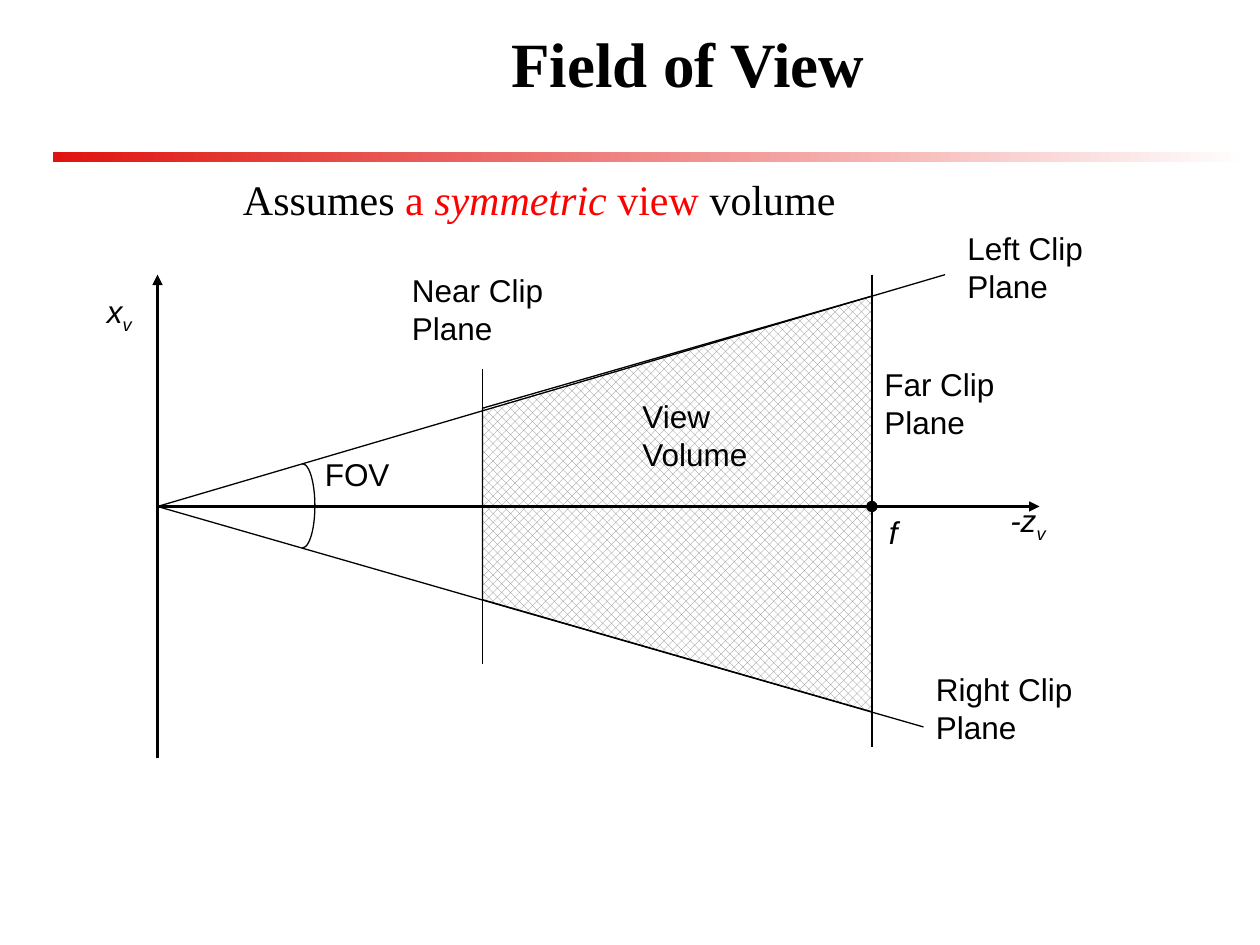
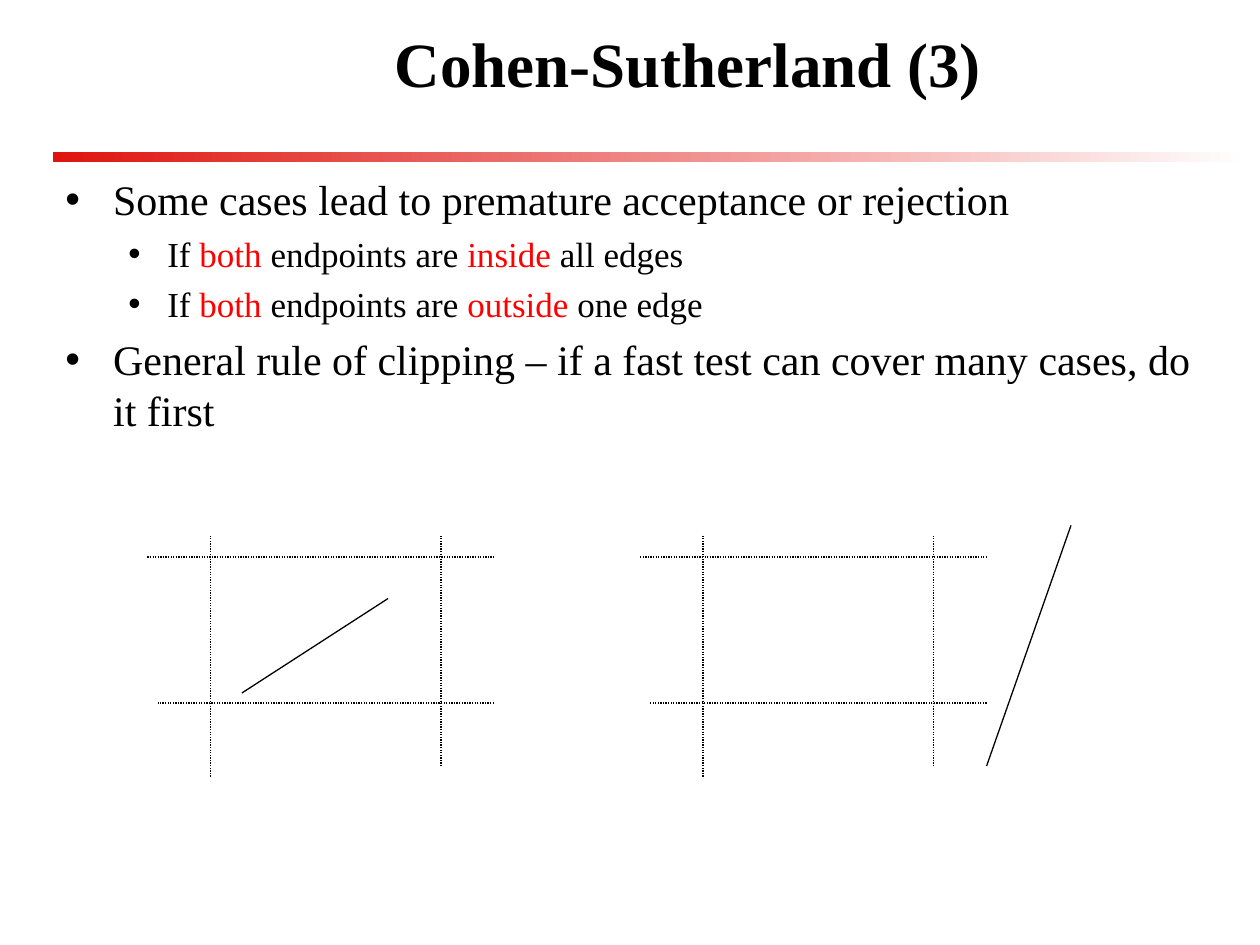
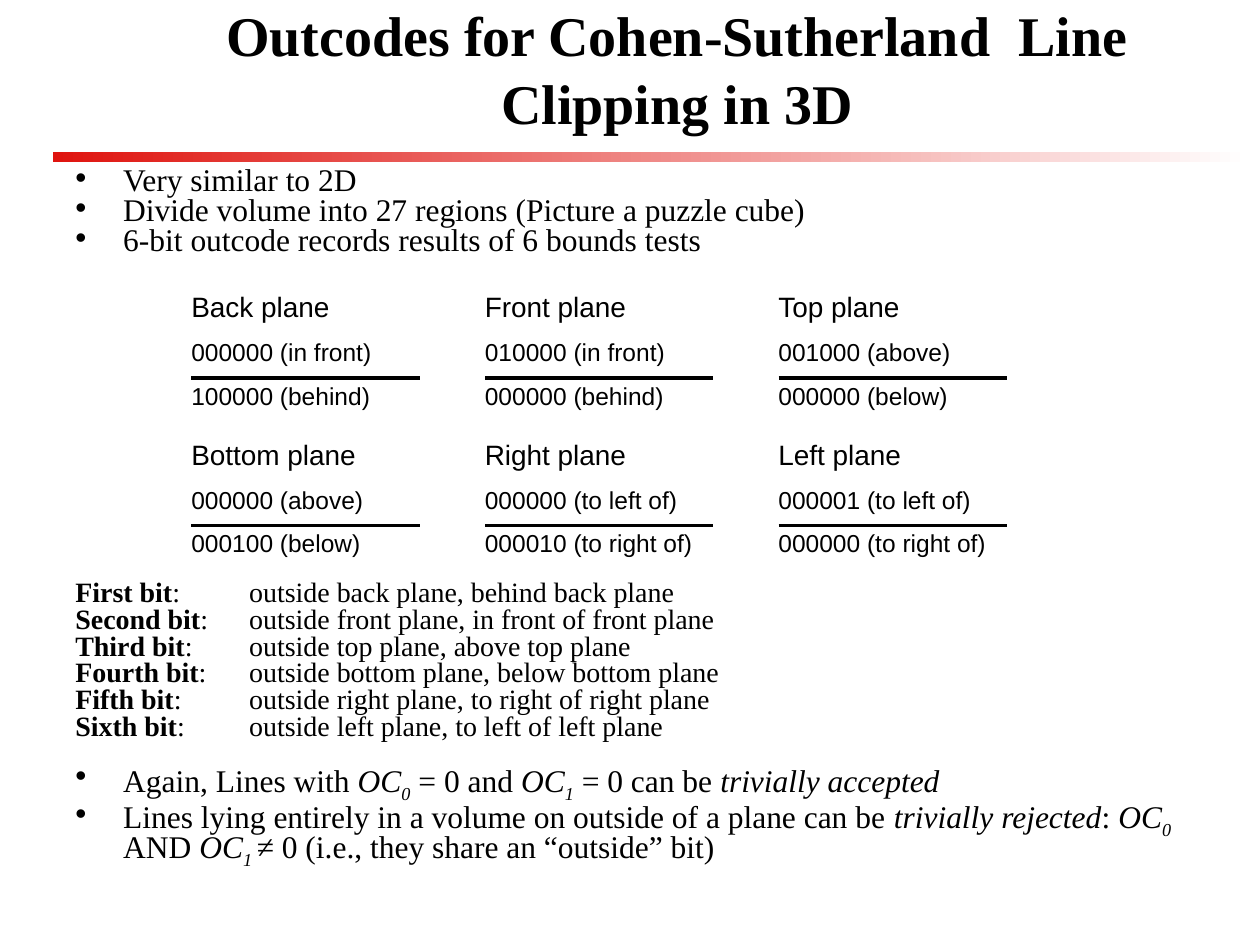
"""Build three lecture slides on view volumes and Cohen-Sutherland clipping."""
from lxml.etree import SubElement
from pptx import Presentation
from pptx.dml.color import RGBColor
from pptx.enum.dml import MSO_LINE, MSO_PATTERN
from pptx.enum.shapes import MSO_CONNECTOR, MSO_SHAPE
from pptx.enum.text import MSO_ANCHOR, PP_ALIGN
from pptx.oxml.ns import qn
from pptx.util import Inches, Pt

BLACK = RGBColor(0, 0, 0)
WHITE = RGBColor(0xFF, 0xFF, 0xFF)
RED = RGBColor(0xFF, 0, 0)
BAND_RED = RGBColor(0xDF, 0x14, 0x0F)
GRAY = RGBColor(0x80, 0x80, 0x80)
SERIF, SANS = "Times New Roman", "Arial"

PLAIN, BOLD, ITALIC = {}, {"bold": True}, {"italic": True}
SUB = {"italic": True, "baseline": "-25000"}
ACCENT, ACCENT_ITALIC = {"color": RED}, {"color": RED, "italic": True}


def write(para, spans, size, face, bullet=None, indent=None, tab=None, **layout):
    """Fill a paragraph with (text, format) spans."""
    properties = para._p.get_or_add_pPr()
    if indent:
        properties.set("marL", str(Inches(indent[0])))
        properties.set("indent", str(Inches(indent[1])))
    if bullet:
        SubElement(properties, qn("a:buFont"), typeface=SANS)
        SubElement(properties, qn("a:buChar"), char=bullet)
    if tab:
        tabs = SubElement(properties, qn("a:tabLst"))
        SubElement(tabs, qn("a:tab"), pos=str(Inches(tab)), algn="l")
    for name, value in layout.items():
        setattr(para, name, value)
    for text, style in spans:
        span = para.add_run()
        span.text = text
        formats = {"size": Pt(size), "name": face, **style}
        span.font.color.rgb = formats.pop("color", BLACK)
        baseline = formats.pop("baseline", None)
        for name, value in formats.items():
            setattr(span.font, name, value)
        if baseline:
            span._r.get_or_add_rPr().set("baseline", baseline)


def draw_line(page, x1, y1, x2, y2, width=0.75, dash=None, arrow=False):
    """Draw a black line, dotted or with an arrowhead if asked."""
    line = page.shapes.add_connector(
        MSO_CONNECTOR.STRAIGHT, Inches(x1), Inches(y1), Inches(x2), Inches(y2))
    line.line.color.rgb = BLACK
    line.line.width = Pt(width)
    if dash:
        line.line.dash_style = dash
    if arrow:
        SubElement(line.line._get_or_add_ln(), qn("a:tailEnd"), type="triangle")
    SubElement(line._element.spPr, qn("a:effectLst"))


deck = Presentation()
deck.slide_width, deck.slide_height = Inches(10), Inches(7.5)
title_only = deck.slide_layouts[5]

pages = []
for heading, size, place in (
    ("Field of View", 36, (1.17, 0.08, 8.58, 0.83)),
    ("Cohen-Sutherland (3)", 36, (1.17, 0.08, 8.58, 0.83)),
    ("Outcodes for Cohen-Sutherland  Line Clipping in 3D", 32, (1.25, 0.08, 8.25, 0.92)),
):
    page = deck.slides.add_slide(title_only)
    title = page.shapes.title
    title.left, title.top, title.width, title.height = map(Inches, place)
    title.text_frame.vertical_anchor = MSO_ANCHOR.MIDDLE
    write(title.text_frame.paragraphs[0], [(heading, BOLD)], size, SERIF,
          alignment=PP_ALIGN.CENTER)
    pages.append(page)
view_page, cases_page, outcode_page = pages

band = view_page.shapes.add_shape(
    MSO_SHAPE.RECTANGLE, Inches(0.42), Inches(1.21), Inches(9.5), Inches(0.08))
band.shadow.inherit = False
band.line.fill.background()
band.fill.gradient()
band.fill.gradient_angle = 0
for stop, color in zip(band.fill.gradient_stops, (BAND_RED, WHITE)):
    stop.color.rgb = color
title_only.shapes._spTree.append(band._element)

outline = view_page.shapes.build_freeform(Inches(6.92), Inches(2.35), scale=1.0)
outline.add_line_segments(
    [(Inches(x), Inches(y)) for x, y in ((3.83, 3.24), (3.83, 4.76), (6.92, 5.65))])
volume = outline.convert_to_shape()
volume.fill.patterned()
volume.fill.pattern = MSO_PATTERN.PERCENT_50
volume.fill.fore_color.rgb = GRAY
volume.fill.back_color.rgb = WHITE

draw_line(view_page, 1.25, 4.02, 8.25, 4.02, width=1.5, arrow=True)
draw_line(view_page, 1.25, 6.02, 1.25, 2.18, width=1.5, arrow=True)
for ends in ((1.25, 4.02, 7.5, 2.18), (1.25, 4.02, 7.33, 5.77),
             (3.83, 2.93, 3.83, 5.27), (6.92, 2.18, 6.92, 5.93)):
    draw_line(view_page, *ends)

far_point = view_page.shapes.add_shape(
    MSO_SHAPE.OVAL, Inches(6.88), Inches(3.98), Inches(0.08), Inches(0.08))
far_point.fill.solid()
far_point.fill.fore_color.rgb = BLACK
angle_arc = view_page.shapes.add_shape(
    MSO_SHAPE.ARC, Inches(2.3), Inches(3.68), Inches(0.2), Inches(0.67))
angle_arc.adjustments[1] = 54
angle_arc.fill.background()
for shape in (volume, far_point, angle_arc):
    shape.shadow.inherit = False
    shape.line.color.rgb = BLACK
    shape.line.width = Pt(0.75)

assumption = [("Assumes ", PLAIN), ("a ", ACCENT), ("symmetric", ACCENT_ITALIC),
              (" view ", ACCENT), ("volume", PLAIN)]
for place, lines, size, face, alignment in (
    ((0.75, 2.27, 0.45, 0.5), [[("x", ITALIC), ("v", SUB)]], 18, SANS, PP_ALIGN.LEFT),
    ((7.92, 3.93, 0.54, 0.5), [[("-z", ITALIC), ("v", SUB)]], 18, SANS, PP_ALIGN.LEFT),
    ((3.17, 2.1, 1.58, 0.9), [[("Near Clip Plane", PLAIN)]], 18, SANS, PP_ALIGN.LEFT),
    ((6.92, 2.85, 1.58, 0.9), [[("Far Clip Plane", PLAIN)]], 18, SANS, PP_ALIGN.LEFT),
    ((5, 3.1, 1.43, 0.9), [[("View Volume", PLAIN)]], 18, SANS, PP_ALIGN.LEFT),
    ((7.58, 1.77, 1.41, 0.9), [[("Left Clip", PLAIN)], [("Plane", PLAIN)]],
     18, SANS, PP_ALIGN.LEFT),
    ((7.33, 5.27, 1.6, 0.9), [[("Right Clip", PLAIN)], [("Plane", PLAIN)]],
     18, SANS, PP_ALIGN.LEFT),
    ((6.83, 4.02, 0.52, 0.5), [[("f", ITALIC)]], 18, SANS, PP_ALIGN.CENTER),
    ((2.48, 3.56, 0.87, 0.5), [[("FOV", PLAIN)]], 18, SANS, PP_ALIGN.LEFT),
    ((1.83, 1.33, 6.25, 0.5), [assumption], 24, SERIF, PP_ALIGN.LEFT),
):
    frame = view_page.shapes.add_textbox(*map(Inches, place)).text_frame
    frame.word_wrap = True
    for index, spans in enumerate(lines):
        para = frame.add_paragraph() if index else frame.paragraphs[0]
        write(para, spans, size, face, alignment=alignment)

frame = cases_page.shapes.add_textbox(
    Inches(0.42), Inches(1.33), Inches(9.33), Inches(5.33)).text_frame
frame.word_wrap = True
for index, (level, spans) in enumerate((
    (0, [("Some cases lead to premature acceptance or rejection", PLAIN)]),
    (1, [("If ", PLAIN), ("both", ACCENT), (" endpoints are ", PLAIN),
         ("inside", ACCENT), (" all edges", PLAIN)]),
    (1, [("If ", PLAIN), ("both", ACCENT), (" endpoints are ", PLAIN),
         ("outside", ACCENT), (" one edge", PLAIN)]),
    (0, [("General rule of clipping – if a fast test can cover many cases, do it first",
          PLAIN)]),
)):
    para = frame.add_paragraph() if index else frame.paragraphs[0]
    size, indent = ((24, (0.38, -0.38)), (20, (0.81, -0.31)))[level]
    write(para, spans, size, SERIF, bullet="•", indent=indent, level=level,
          space_before=Pt(size * 0.23 if index else 0))

for left in (1.17, 5.08):
    for x1, y1, x2, y2 in ((0, 4.42, 2.75, 4.42), (2.33, 4.25, 2.33, 6.08),
                           (2.75, 5.58, 0.08, 5.58), (0.5, 4.25, 0.5, 6.17)):
        draw_line(cases_page, left + x1, y1, left + x2, y2, dash=MSO_LINE.ROUND_DOT)
draw_line(cases_page, 1.92, 5.5, 3.08, 4.75)
draw_line(cases_page, 7.83, 6.08, 8.5, 4.17)

summary = [(18, "•", 0.6, 4.1, [(text, PLAIN)]) for text in (
    "Very similar to 2D",
    "Divide volume into 27 regions (Picture a puzzle cube)",
    "6-bit outcode records results of 6 bounds tests")]
summary += [(16, None, 0.6, 3.7, [(f"{order} bit", BOLD), (f": \t{meaning}", PLAIN)])
            for order, meaning in (
    ("First", "outside back plane, behind back plane"),
    ("Second", "outside front plane, in front of front plane"),
    ("Third", "outside top plane, above top plane"),
    ("Fourth", "outside bottom plane, below bottom plane"),
    ("Fifth", "outside right plane, to right of right plane"),
    ("Sixth", "outside left plane, to left of left plane"))]
summary += [
    (18, "•", 0.6, 4.1, [
        ("Again, Lines with ", PLAIN), ("OC", ITALIC), ("0", SUB), (" = 0 and ", PLAIN),
        ("OC", ITALIC), ("1", SUB), (" = 0 can be ", PLAIN),
        ("trivially accepted", ITALIC)]),
    (18, "•", 0.7, 4.1, [
        ("Lines lying entirely in a volume on outside of a plane can be ", PLAIN),
        ("trivially rejected", ITALIC), (": ", PLAIN), ("OC", ITALIC), ("0", SUB),
        (" AND ", PLAIN), ("OC", ITALIC), ("1 ", SUB),
        ("≠ 0 (i.e., they share an “outside” bit)", PLAIN)])]
section_gaps = {0: 0, 3: 189, 9: 18}

frame = outcode_page.shapes.add_textbox(
    Inches(0.5), Inches(1.33), Inches(9), Inches(6.08)).text_frame
frame.word_wrap = True
for index, (size, bullet, spacing, gap, spans) in enumerate(summary):
    para = frame.add_paragraph() if index else frame.paragraphs[0]
    write(para, spans, size, SERIF, bullet=bullet, indent=(0.38, -0.38), tab=1.5,
          line_spacing=spacing, space_before=Pt(section_gaps.get(index, gap)))

planes = (
    ("Back plane", "000000 (in front)", "100000 (behind)"),
    ("Front plane", "010000 (in front)", "000000 (behind)"),
    ("Top plane", "001000 (above)", "000000 (below)"),
    ("Bottom plane", "000000 (above)", "000100 (below)"),
    ("Right plane", "000000 (to left of)", "000010 (to right of)"),
    ("Left plane", "000001 (to left of)", "000000 (to right of)"),
)
for position, codes in enumerate(planes):
    row, column = divmod(position, 3)
    left, top = 1.42 + 2.33 * column, 2.25 + 1.17 * row
    frame = outcode_page.shapes.add_textbox(
        Inches(left), Inches(top), Inches(2.5), Inches(1.08)).text_frame
    frame.word_wrap = True
    for index, text in enumerate(codes):
        para = frame.add_paragraph() if index else frame.paragraphs[0]
        write(para, [(text, PLAIN)], 14 if index else 16, SANS,
              space_before=Pt(8 if index else 0))
    draw_line(outcode_page, left + 0.1, top + 0.75, left + 1.91, top + 0.75, width=2)

deck.save("out.pptx")
